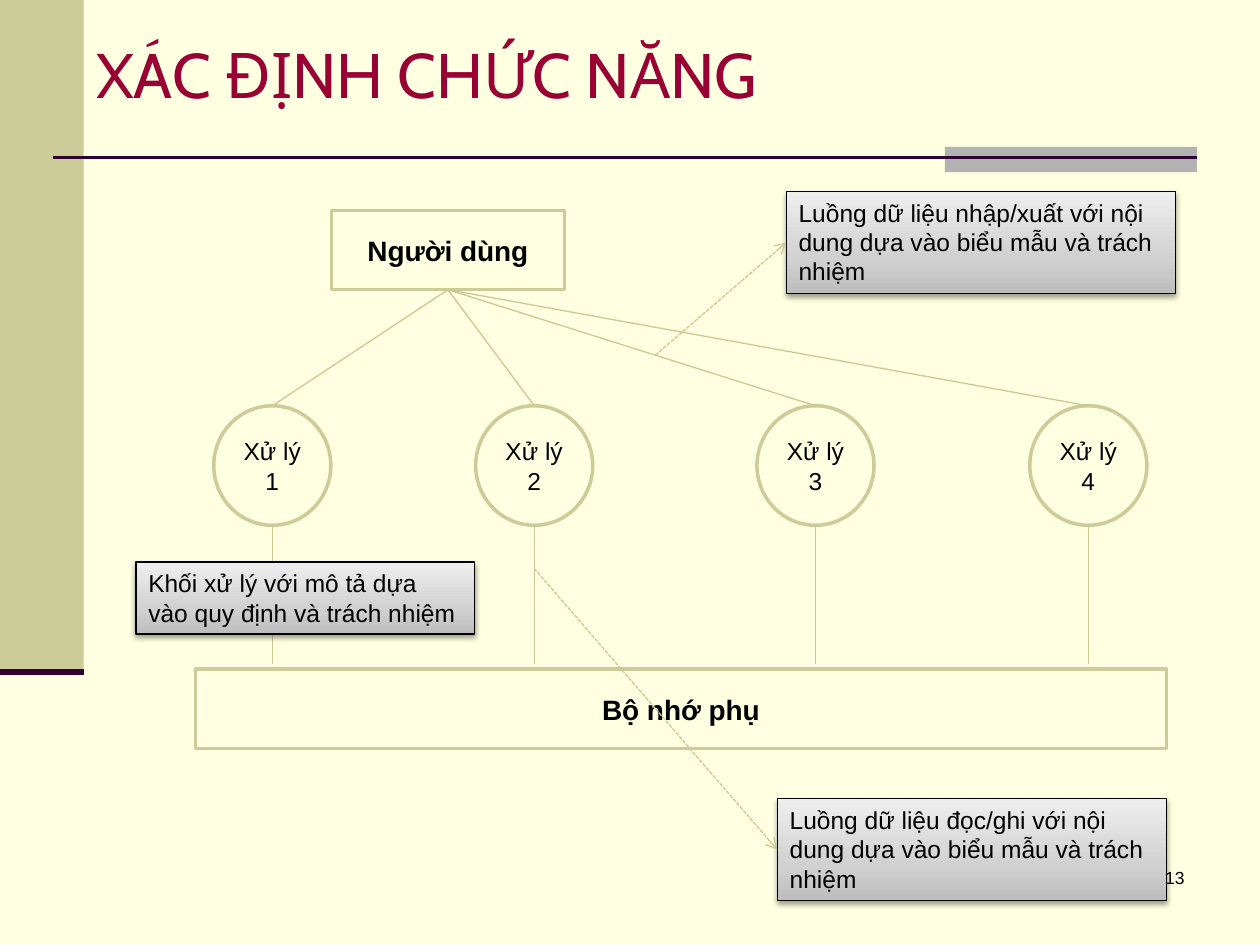
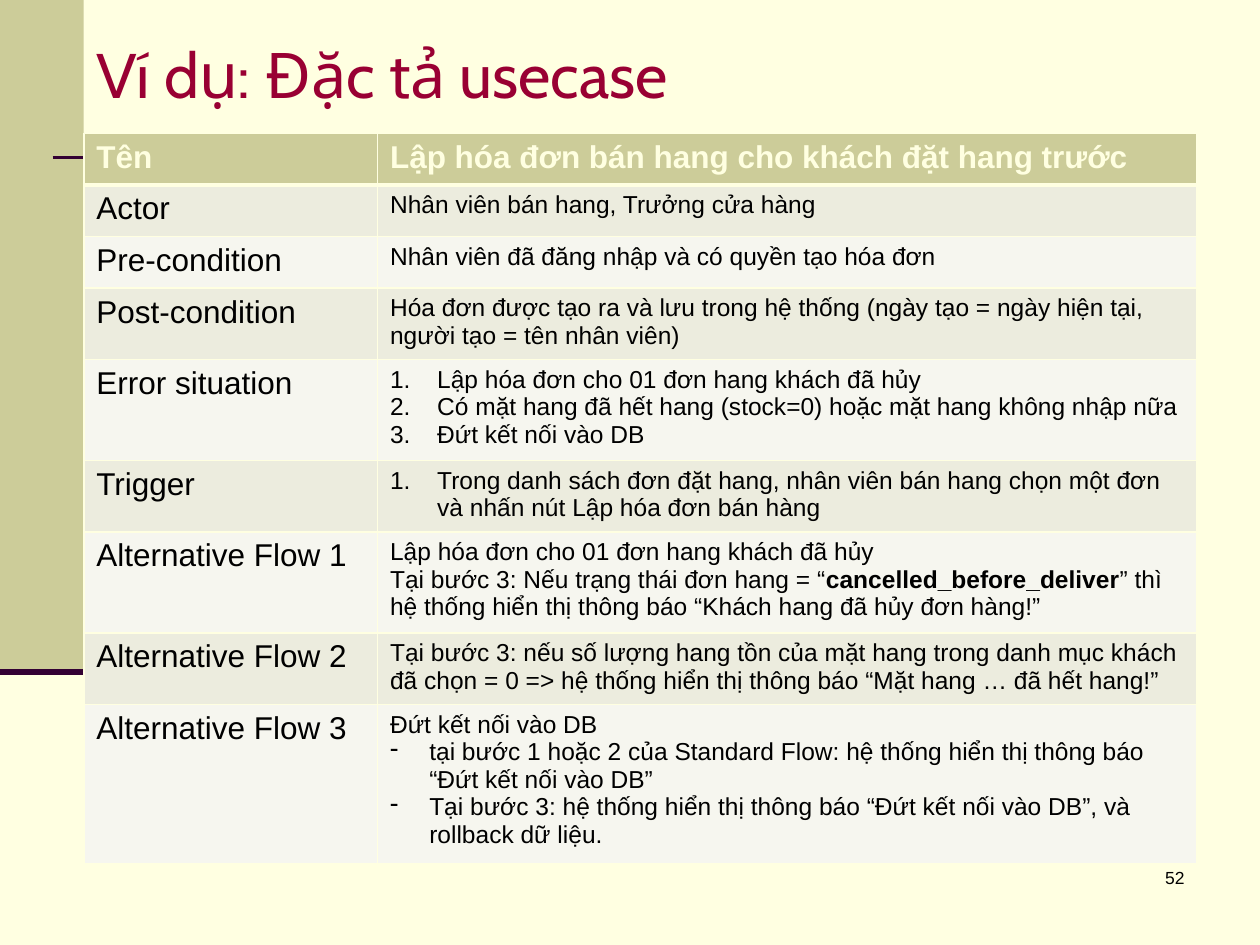
from copy import deepcopy
from dataclasses import dataclass

from lxml.etree import SubElement
from pptx import Presentation
from pptx.dml.color import RGBColor
from pptx.enum.dml import MSO_LINE
from pptx.enum.shapes import MSO_CONNECTOR, MSO_SHAPE
from pptx.enum.text import MSO_ANCHOR, PP_ALIGN
from pptx.oxml.ns import qn
from pptx.util import Cm, Pt

CREAM, KHAKI, LINK = "FFFFE1", "CCCC99", "C9C994"
PLUM, GRAY, CRIMSON, BLACK = "330033", "B2B2B2", "990033", "000000"
ROW_FILLS = ["F6F6EF", "ECECDE"]
NOTE_STOPS = [(0, "BDBDBD"), (0.35, "D1D1D1"), (1, "EEEEEE")]
TOP, LEFT, BOTTOM = 0, 1, 2

# Each entry: row height, label, then lines of (bullet, run, bold run, run, ...)
USE_CASE = [
    (1.04, "Tên", [("", "Lập hóa đơn bán hang cho khách đặt hang trước")]),
    (1.04, "Actor", [("", "Nhân viên bán hang, Trưởng cửa hàng")]),
    (1.04, "Pre-condition",
     [("", "Nhân viên đã đăng nhập và có quyền tạo hóa đơn")]),
    (1.36, "Post-condition",
     [("", "Hóa đơn được tạo ra và lưu trong hệ thống (ngày tạo = ngày "
           "hiện tại, người tạo = tên nhân viên)")]),
    (1.92, "Error situation",
     [("1.", "Lập hóa đơn cho 01 đơn hang khách đã hủy"),
      ("1.", "Có mặt hang đã hết hang (stock=0) hoặc mặt hang không nhập nữa"),
      ("1.", "Đứt kết nối vào DB")]),
    (1.36, "Trigger",
     [("1.", "Trong danh sách đơn đặt hang, nhân viên bán hang chọn một đơn "
             "và nhấn nút Lập hóa đơn bán hàng")]),
    (1.92, "Alternative Flow 1",
     [("", "Lập hóa đơn cho 01 đơn hang khách đã hủy"),
      ("", "Tại bước 3: Nếu trạng thái đơn hang = “", "cancelled_before_deliver",
       "” thì hệ thống hiển thị thông báo “Khách hang đã hủy đơn hàng!”")]),
    (1.36, "Alternative Flow 2",
     [("", "Tại bước 3: nếu số lượng hang tồn của mặt hang trong danh mục khách "
           "đã chọn = 0 => hệ thống hiển thị thông báo “Mặt hang … đã hết "
           "hang!”")]),
    (3.04, "Alternative Flow 3",
     [("", "Đứt kết nối vào DB"),
      ("-", "tại bước 1 hoặc 2 của Standard Flow: hệ thống hiển thị thông báo "
            "“Đứt kết nối vào DB”"),
      ("-", "Tại bước 3: hệ thống hiển thị thông báo “Đứt kết nối vào DB”, và "
            "rollback dữ liệu.")]),
]


@dataclass
class Box:
    """A region in centimetres."""
    left: float
    top: float
    width: float
    height: float

    def inside(self, left, top, width, height):
        return Box(self.left + left, self.top + top, width, height)

    def point(self, x, y):
        return self.left + x, self.top + y

    def lengths(self):
        return [Cm(value) for value in
                (self.left, self.top, self.width, self.height)]


def color(hex_code):
    return RGBColor.from_string(hex_code)


def style_run(span, size, hex_code, bold=False, font="Arial"):
    span.font.name = font
    span.font.size = Pt(size)
    span.font.bold = bold
    span.font.color.rgb = color(hex_code)


def write(frame, text, size, hex_code=BLACK, align=PP_ALIGN.LEFT,
          anchor=MSO_ANCHOR.TOP, **style):
    frame.text = text
    frame.word_wrap = True
    frame.vertical_anchor = anchor
    para = frame.paragraphs[0]
    para.alignment = align
    style_run(para.runs[0], size, hex_code, **style)


def add_panel(page, box, fill, outline=None, weight=2, kind=MSO_SHAPE.RECTANGLE):
    panel = page.shapes.add_shape(kind, *box.lengths())
    panel.shadow.inherit = False
    panel.fill.solid()
    panel.fill.fore_color.rgb = color(fill)
    if outline:
        panel.line.color.rgb = color(outline)
        panel.line.width = Pt(weight)
    else:
        panel.line.fill.background()
    return panel


def add_line(page, start, end, hex_code=LINK, weight=0.75):
    line = page.shapes.add_connector(
        MSO_CONNECTOR.STRAIGHT, *[Cm(value) for value in (*start, *end)])
    line.line.color.rgb = color(hex_code)
    line.line.width = Pt(weight)
    SubElement(line.element.spPr, qn("a:effectLst"))
    return line


def add_frame(page, title, number):
    """Background, side band, title with its rule, and page number."""
    page.background.fill.solid()
    page.background.fill.fore_color.rgb = color(CREAM)
    add_panel(page, Box(0, 0, 1.69, 13.55), KHAKI)
    add_panel(page, Box(19.05, 2.96, 5.08, 0.51), GRAY)
    add_line(page, (1.06, 3.18), (24.13, 3.18), PLUM, 1.5)
    add_line(page, (0, 13.55), (1.69, 13.55), PLUM, 3.5)
    heading = page.shapes.add_textbox(*Box(1.69, 0, 23.71, 2.96).lengths())
    write(heading.text_frame, title, 36, CRIMSON,
          anchor=MSO_ANCHOR.MIDDLE, font="Cabin")
    footer = page.shapes.add_textbox(*Box(18.84, 17.36, 5.29, 1.27).lengths())
    write(footer.text_frame, number, 10, align=PP_ALIGN.RIGHT)


def add_node(page, box, text, size, bold, kind=MSO_SHAPE.RECTANGLE):
    node = add_panel(page, box, CREAM, KHAKI, kind=kind)
    write(node.text_frame, text, size, align=PP_ALIGN.CENTER,
          anchor=MSO_ANCHOR.MIDDLE, bold=bold)
    return node


def add_note(page, box, text):
    """Gray gradient callout with a soft shadow."""
    note = add_panel(page, box, CREAM, BLACK, 0.75)
    note.fill.gradient()
    note.fill.gradient_angle = 90
    properties = note.element.spPr
    stop_list = properties.find(".//" + qn("a:gsLst"))
    stop_list.insert(1, deepcopy(stop_list[0]))
    for stop, (position, shade) in zip(note.fill.gradient_stops, NOTE_STOPS):
        stop.position = position
        stop.color.rgb = color(shade)
    shadow = SubElement(properties.find(qn("a:effectLst")), qn("a:outerShdw"),
                        blurRad="40000", dist="20000", dir="5400000",
                        rotWithShape="0")
    tint = SubElement(shadow, qn("a:srgbClr"), val=BLACK)
    SubElement(tint, qn("a:alpha"), val="38000")
    write(note.text_frame, text, 14)
    return note


def point_to_note(page, start, note):
    arrow = add_line(page, start, start)
    arrow.end_connect(note, LEFT)
    arrow.line.dash_style = MSO_LINE.SQUARE_DOT
    outline = arrow.element.spPr.find(qn("a:ln"))
    SubElement(outline, qn("a:tailEnd"), type="arrow")


def draw_functions(page, area):
    """User, four processes and storage, with notes on the flows."""
    user = add_node(page, area.inside(3.94, 0.38, 4.7, 1.6),
                    "Người dùng", 16, True)
    add_node(page, area.inside(1.2, 9.63, 19.58, 1.6), "Bộ nhớ phụ", 16, True)
    width, height, top = 2.36, 2.41, 4.32
    centers = [2.75, 8.03, 13.7, 19.2]
    for number, center in enumerate(centers, 1):
        process = add_node(page, area.inside(center - width / 2, top, width, height),
                           f"Xử lý {number}", 14, False, MSO_SHAPE.OVAL)
        process_top = area.point(center, top)
        request = add_line(page, process_top, process_top)
        request.begin_connect(user, BOTTOM)
        request.end_connect(process, TOP)
        add_line(page, area.point(center, top + height), area.point(center, 9.53))

    input_note = add_note(
        page, area.inside(13.11, 0, 7.85, 2.06),
        "Luồng dữ liệu nhập/xuất với nội dung dựa vào biểu mẫu và trách nhiệm")
    point_to_note(page, area.point(10.47, 3.3), input_note)
    add_note(page, area.inside(0, 7.47, 6.83, 1.45),
             "Khối xử lý với mô tả dựa vào quy định và trách nhiệm")
    storage_note = add_note(
        page, area.inside(12.93, 12.24, 7.85, 2.06),
        "Luồng dữ liệu đọc/ghi với nội dung dựa vào biểu mẫu và trách nhiệm")
    point_to_note(page, area.point(centers[1], 7.6), storage_note)


def set_bullet(para, bullet):
    indent = Cm(0.79 if bullet == "-" else 0.95)
    properties = para._p.get_or_add_pPr()
    properties.set("marL", str(indent))
    properties.set("indent", str(-indent))
    if bullet == "-":
        SubElement(properties, qn("a:buChar"), char=bullet)
    else:
        SubElement(properties, qn("a:buAutoNum"), type="arabicPeriod")


def style_cell(cell, row):
    properties = cell._tc.get_or_add_tcPr()
    thick_side = {0: "lnB", 1: "lnT"}.get(row)
    for side in ("lnL", "lnR", "lnT", "lnB"):
        weight = Pt(3 if side == thick_side else 1)
        border = SubElement(properties, qn(f"a:{side}"), w=str(weight))
        paint = SubElement(border, qn("a:solidFill"))
        SubElement(paint, qn("a:srgbClr"), val=CREAM)
    cell.fill.solid()
    cell.fill.fore_color.rgb = color(ROW_FILLS[row % 2] if row else KHAKI)


def fill_cell(cell, lines, size, hex_code, bold):
    frame = cell.text_frame
    for index, (bullet, *texts) in enumerate(lines):
        para = frame.add_paragraph() if index else frame.paragraphs[0]
        if bullet:
            set_bullet(para, bullet)
        for position, text in enumerate(texts):
            span = para.add_run()
            span.text = text
            style_run(span, size, hex_code, bold or position % 2 == 1)


def draw_use_case(page, area):
    table = page.shapes.add_table(len(USE_CASE), 2, *area.lengths()).table
    label_width = 5.92
    table.columns[0].width = Cm(label_width)
    table.columns[1].width = Cm(area.width - label_width)
    for row, (height, label, lines) in enumerate(USE_CASE):
        table.rows[row].height = Cm(height)
        header = row == 0
        ink = CREAM if header else BLACK
        label_cell, text_cell = table.cell(row, 0), table.cell(row, 1)
        fill_cell(label_cell, [("", label)], 18, ink, header)
        fill_cell(text_cell, lines, 18 if header else 14, ink, header)
        style_cell(label_cell, row)
        style_cell(text_cell, row)


def main():
    deck = Presentation()
    deck.slide_width, deck.slide_height = Cm(25.4), Cm(19.05)
    pages = [
        ("XÁC ĐỊNH CHỨC NĂNG", "13", draw_functions, Box(2.74, 3.86, 20.96, 14.3)),
        ("Ví dụ: Đặc tả usecase", "52", draw_use_case, Box(1.69, 2.69, 22.43, 14.08)),
    ]
    for title, number, draw, area in pages:
        page = deck.slides.add_slide(deck.slide_layouts[6])
        add_frame(page, title, number)
        draw(page, area)
    deck.save("out.pptx")


if __name__ == "__main__":
    main()
